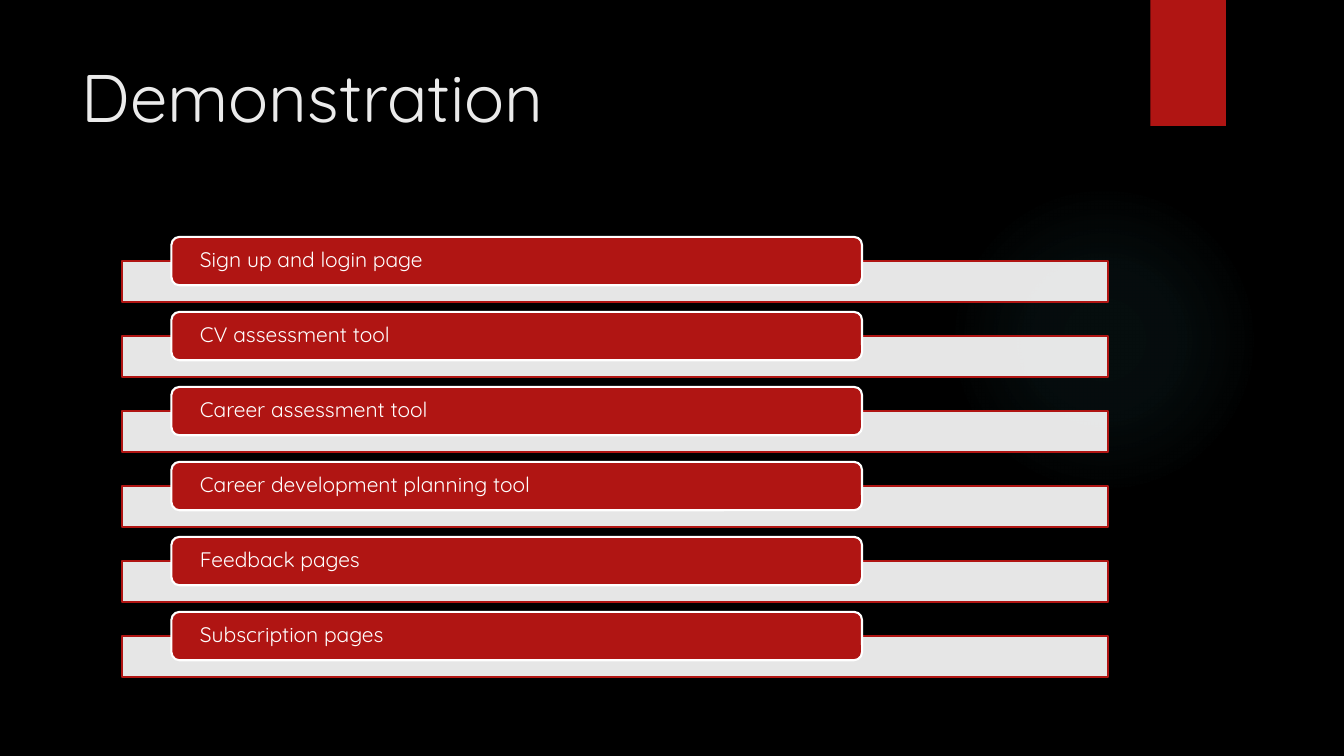
"""Build the Demonstration slide: a title above six labelled bars."""
from lxml.etree import SubElement
from pptx import Presentation
from pptx.dml.color import RGBColor
from pptx.enum.shapes import MSO_SHAPE as SHAPE
from pptx.enum.text import MSO_ANCHOR as ANCHOR, PP_ALIGN as ALIGN
from pptx.oxml import parse_xml
from pptx.oxml.ns import nsdecls, qn
from pptx.util import Inches, Pt

COLORS = {"back": "000000", "red": "B01513", "white": "FFFFFF",
          "title": "EBEBEB", "glow": "50B9C1"}
FONT = "Quicksand"
STEPS = ["Sign up and login page", "CV assessment tool", "Career assessment tool",
         "Career development planning tool", "Feedback pages", "Subscription pages"]
TOP, PITCH = 2.35, 0.744
GLOW_STOPS = [(0, 7), (36, 6), (69, 0)]

prs = Presentation()
prs.slide_width, prs.slide_height = Inches(13.33), Inches(7.5)
slide = prs.slides.add_slide(prs.slide_layouts[6])
slide.background.fill.solid()
slide.background.fill.fore_color.rgb = RGBColor.from_string(COLORS["back"])


def add_box(kind, x, y, w, h, fill, line=None):
    s = slide.shapes.add_shape(kind, Inches(x), Inches(y), Inches(w), Inches(h))
    s.shadow.inherit = False
    s.fill.solid()
    s.fill.fore_color.rgb = RGBColor.from_string(COLORS[fill])
    if line:
        s.line.color.rgb = RGBColor.from_string(COLORS[line])
        s.line.width = Pt(1.5)
    else:
        s.line.fill.background()
    return s


def write(s, text, size, color, anchor, inset, margin=0.0, spacing=1.0):
    tf = s.text_frame
    tf.word_wrap = True
    tf.vertical_anchor = anchor
    tf.margin_left = tf.margin_right = Inches(inset)
    tf.margin_top = tf.margin_bottom = Inches(margin)
    p = tf.paragraphs[0]
    p.alignment = ALIGN.LEFT
    p.line_spacing = spacing
    r = p.add_run()
    r.text = text
    r.font.name, r.font.size = FONT, Pt(size)
    r.font.color.rgb = RGBColor.from_string(COLORS[color])


glow = add_box(SHAPE.OVAL, 9.41, 1.83, 3.08, 3.08, "glow")
stops = "".join(
    f'<a:gs pos="{pos * 1000}"><a:srgbClr val="{COLORS["glow"]}">'
    f'<a:alpha val="{alpha * 1000}"/></a:srgbClr></a:gs>' for pos, alpha in GLOW_STOPS)
gradient = parse_xml(
    f'<a:gradFill {nsdecls("a")} rotWithShape="1"><a:gsLst>{stops}</a:gsLst>'
    '<a:path path="circle"><a:fillToRect l="50000" t="50000" r="50000" b="50000"/></a:path>'
    '</a:gradFill>')
solid = glow.fill._xPr.find(qn("a:solidFill"))
solid.getparent().replace(solid, gradient)

add_box(SHAPE.RECTANGLE, 11.41, 0, 0.75, 1.25, "red")
title = slide.shapes.add_textbox(Inches(0.71), Inches(0.5), Inches(10.29), Inches(1.53))
write(title, "Demonstration", 48, "title", ANCHOR.TOP, 0.1, margin=0.05)

for row, step in enumerate(STEPS):
    y = TOP + row * PITCH
    bar = add_box(SHAPE.RECTANGLE, 1.21, y + 0.24, 9.78, 0.41, "white", "red")
    bar_color = bar.fill._xPr.find(qn("a:solidFill"))[0]
    SubElement(bar_color, qn("a:alpha"), val="90000")
    label = add_box(SHAPE.ROUNDED_RECTANGLE, 1.7, y, 6.85, 0.48, "red", "white")
    write(label, step, 15, "white", ANCHOR.MIDDLE, 0.26, spacing=0.9)

prs.save("out.pptx")
